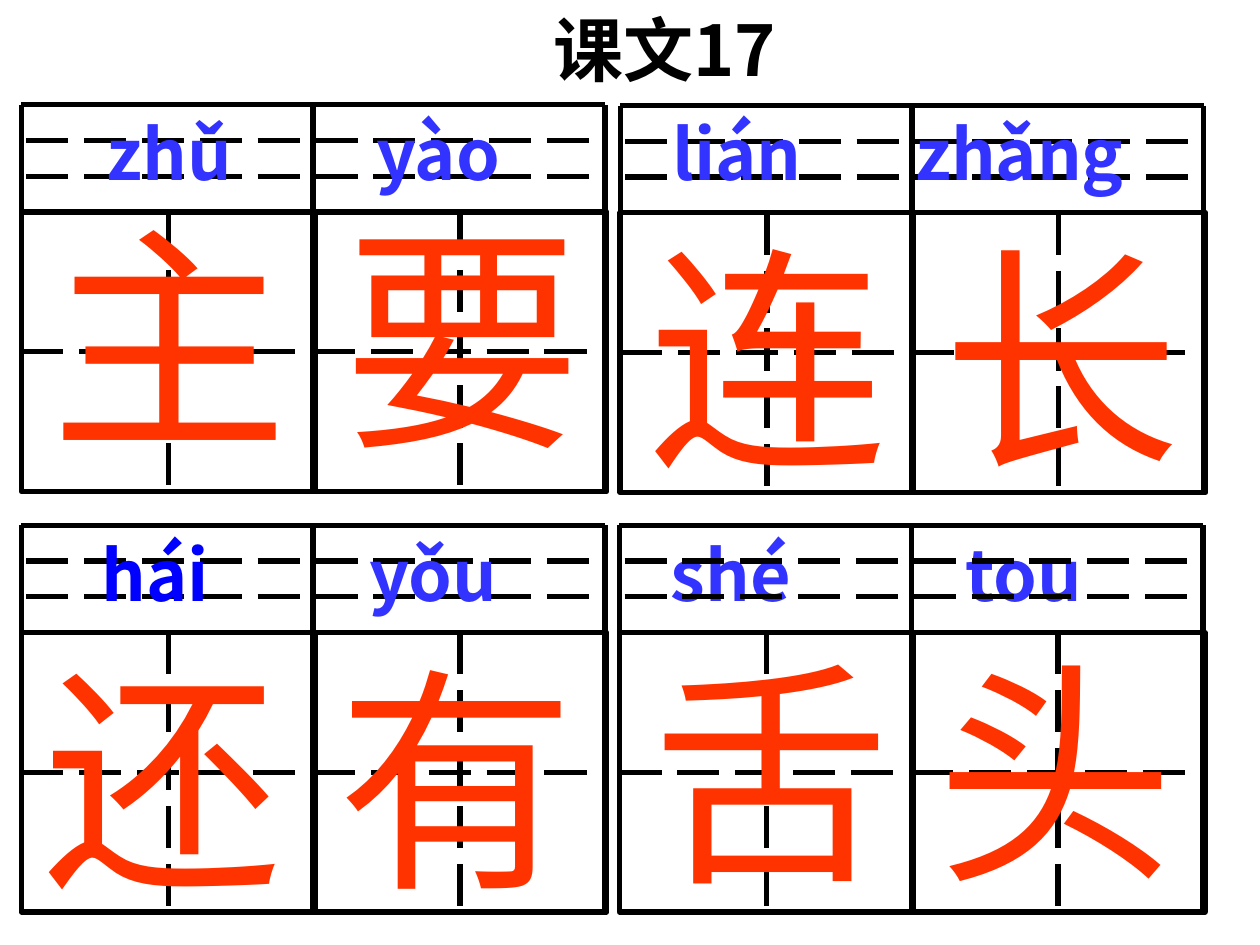
from dataclasses import dataclass

from lxml.etree import SubElement
from pptx import Presentation
from pptx.dml.color import RGBColor
from pptx.enum.dml import MSO_LINE
from pptx.enum.shapes import MSO_CONNECTOR, MSO_SHAPE
from pptx.enum.text import MSO_ANCHOR, MSO_AUTO_SIZE, PP_ALIGN
from pptx.oxml.ns import qn
from pptx.util import Pt


@dataclass(frozen=True)
class Theme:
    ink: RGBColor = RGBColor(0x00, 0x00, 0x00)
    character: RGBColor = RGBColor(0xFF, 0x33, 0x00)
    pinyin: RGBColor = RGBColor(0x33, 0x33, 0xFF)
    pinyin_strong: RGBColor = RGBColor(0x00, 0x00, 0xFF)
    font: str = "Noto Sans CJK SC"
    character_font: str = "Arial"
    heading_size: int = 40
    character_size: int = 136
    rule: int = 3


theme = Theme()

# Practice grid: a pinyin band above two square cells
COLUMN = 166.75
BAND = 61.2
CELL_WIDTH, CELL_HEIGHT = 167.8, 159.8
GRID_WIDTH, GRID_HEIGHT = 2 * COLUMN, 220.8
DASH_INSET = 2.9

presentation = Presentation()
presentation.slide_width = Pt(720)
presentation.slide_height = Pt(540)
slide = presentation.slides.add_slide(presentation.slide_layouts[5])


def add_line(group, start, end, dashed=False):
    line = group.shapes.add_connector(
        MSO_CONNECTOR.STRAIGHT, *(Pt(value) for value in (*start, *end)))
    line.line.color.rgb = theme.ink
    line.line.width = Pt(theme.rule)
    if dashed:
        line.line.dash_style = MSO_LINE.LONG_DASH
    SubElement(line._element.spPr, qn("a:effectLst"))


def fill_text(shape, runs, size, font, bold=True, tabs=()):
    """Write (text, colour) runs into one left-aligned paragraph."""
    frame = shape.text_frame
    frame.word_wrap = True
    frame.auto_size = MSO_AUTO_SIZE.SHAPE_TO_FIT_TEXT
    frame.vertical_anchor = MSO_ANCHOR.TOP
    paragraph = frame.paragraphs[0]
    paragraph.alignment = PP_ALIGN.LEFT
    if tabs:
        tab_list = SubElement(paragraph._p.get_or_add_pPr(), qn("a:tabLst"))
        for position in tabs:
            SubElement(tab_list, qn("a:tab"), pos=str(Pt(position)), algn="l")
    for text, color in runs:
        run = paragraph.add_run()
        run.text = text
        run.font.name = font
        run.font.size = Pt(size)
        run.font.bold = bold
        run.font.color.rgb = color


title = slide.shapes.title
title.left, title.top, title.width, title.height = Pt(309), Pt(0), Pt(181.5), Pt(55.4)
fill_text(title, [("课文17", theme.ink)], theme.heading_size, theme.font)

# Each block: grid left and top, then (character, left, top, font)
upper_left = (12.2, 59.9, [("要", 189.4, 105.8, theme.font),
                           ("主", 21.6, 105.8, theme.font)])
upper_right = (354.4, 60.4, [("连", 363.6, 117.4, theme.character_font),
                             ("长", 531.4, 117.4, theme.character_font)])
lower_left = (12.2, 300.2, [("有", 185.8, 357.8, theme.character_font),
                            ("还", 18, 357.8, theme.character_font)])
lower_right = (354, 300.2, [("舌", 365.8, 354.2, theme.character_font),
                            ("头", 527.8, 354.2, theme.character_font)])

# Each pinyin line: box, tab stops, runs
upper_pinyin = ((0, 59.8, 717, 55.4), (54, 208, 377, 516),
                [("\tzhǔ\tyào\tlián\tzhǎng", theme.pinyin)])
lower_pinyin = ((-12.2, 300.2, 690, 103.7), (63, 216, 388.5, 557),
                [("\thái", theme.pinyin_strong), ("\tyǒu\tshé\ttou", theme.pinyin)])

# The last grid lies over the lower pinyin line
for block, pinyin in ((upper_left, None), (upper_right, upper_pinyin),
                      (lower_left, lower_pinyin), (lower_right, None)):
    left, top, characters = block
    right, bottom = left + GRID_WIDTH, top + GRID_HEIGHT
    cell_top = top + BAND
    cell_middle = cell_top + CELL_HEIGHT / 2
    grid = slide.shapes.add_group_shape()
    for column in range(2):
        cell_left = left + column * COLUMN
        cell_center = cell_left + CELL_WIDTH / 2
        cell = grid.shapes.add_shape(
            MSO_SHAPE.RECTANGLE, Pt(cell_left), Pt(cell_top), Pt(CELL_WIDTH), Pt(CELL_HEIGHT))
        cell.shadow.inherit = False
        cell.fill.background()
        cell.line.color.rgb = theme.ink
        cell.line.width = Pt(theme.rule)
        add_line(grid, (cell_center, cell_top), (cell_center, cell_top + CELL_HEIGHT), dashed=True)
        add_line(grid, (cell_left, cell_middle), (cell_left + 164.2, cell_middle), dashed=True)
    add_line(grid, (left, top), (right, top))
    for third in (1, 2):
        guide = top + third * BAND / 3
        add_line(grid, (left + DASH_INSET, guide), (right, guide), dashed=True)
    for column in range(3):
        edge = left + column * COLUMN
        add_line(grid, (edge, top), (edge, bottom))

    for character, character_left, character_top, font in characters:
        box = slide.shapes.add_textbox(
            Pt(character_left), Pt(character_top), Pt(164.5), Pt(170.6))
        fill_text(box, [(character, theme.character)], theme.character_size, font, bold=False)
    if pinyin:
        bounds, tabs, runs = pinyin
        box = slide.shapes.add_textbox(*(Pt(value) for value in bounds))
        fill_text(box, runs, theme.heading_size, theme.font, tabs=tabs)

presentation.save("out.pptx")
